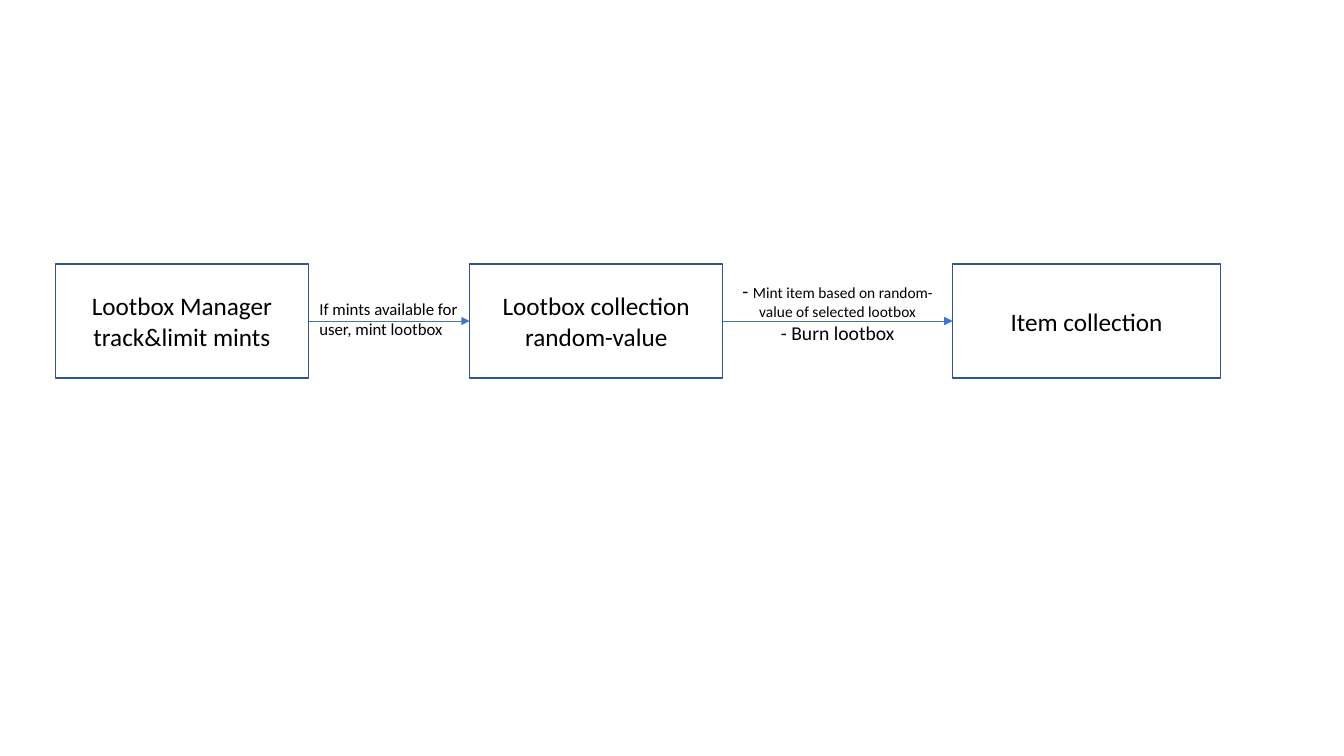
from pptx import Presentation
from pptx.dml.color import RGBColor
from pptx.enum.shapes import MSO_CONNECTOR, MSO_SHAPE
from pptx.enum.text import MSO_ANCHOR, MSO_AUTO_SIZE, PP_ALIGN
from pptx.oxml.ns import qn
from pptx.util import Pt
from lxml import etree

RECT, CURVE = MSO_SHAPE.RECTANGLE, MSO_CONNECTOR.CURVE
MIDDLE, TOP = MSO_ANCHOR.MIDDLE, MSO_ANCHOR.TOP
LEFT, CENTER = PP_ALIGN.LEFT, PP_ALIGN.CENTER
GROW = MSO_AUTO_SIZE.SHAPE_TO_FIT_TEXT
LEFT_SITE, RIGHT_SITE = 1, 3

COLORS = {"text": "000000", "border": "325491", "arrow": "4472C4"}
FONT = "Calibri"
BOX_TOP, BOX_HEIGHT = 188.6, 81.4


def color(name):
    return RGBColor.from_string(COLORS[name])


def set_attrs(target, values):
    for name, value in values.items():
        setattr(target, name, value)


def write(tf, paragraphs, align):
    """Each paragraph is a list of (text, size) runs."""
    for i, runs in enumerate(paragraphs):
        p = tf.paragraphs[0] if i == 0 else tf.add_paragraph()
        p.alignment = align
        for text, size in runs:
            r = p.add_run()
            r.text = text
            set_attrs(r.font, {"name": FONT, "size": Pt(size)})
            r.font.color.rgb = color("text")


def add_box(s, left, width, lines):
    sp = s.shapes.add_shape(RECT, Pt(left), Pt(BOX_TOP), Pt(width), Pt(BOX_HEIGHT))
    sp.shadow.inherit = False
    sp.fill.background()
    sp.line.color.rgb = color("border")
    sp.line.width = Pt(1)
    set_attrs(sp.text_frame, {"word_wrap": True, "vertical_anchor": MIDDLE})
    write(sp.text_frame, [[(line, 18)] for line in lines], CENTER)
    return sp


def add_arrow(s, source, target):
    sp = s.shapes.add_connector(CURVE, 0, 0, 0, 0)
    sp.begin_connect(source, RIGHT_SITE)
    sp.end_connect(target, LEFT_SITE)
    sp.line.color.rgb = color("arrow")
    sp.line.width = Pt(0.5)
    etree.SubElement(sp.line._get_or_add_ln(), qn("a:tailEnd"), type="triangle")
    etree.SubElement(sp._element.spPr, qn("a:effectLst"))


def add_label(s, left, top, width, height, paragraphs, align, wrap):
    sp = s.shapes.add_textbox(Pt(left), Pt(top), Pt(width), Pt(height))
    set_attrs(sp.text_frame, {"word_wrap": wrap, "auto_size": GROW,
                              "vertical_anchor": TOP})
    write(sp.text_frame, paragraphs, align)


def main():
    prs = Presentation()
    set_attrs(prs, {"slide_width": Pt(960), "slide_height": Pt(540)})
    s = prs.slides.add_slide(prs.slide_layouts[6])

    # Contracts
    manager = add_box(s, 39.6, 180.8, ["Lootbox Manager", "track&limit mints"])
    lootboxes = add_box(s, 335.5, 180.8, ["Lootbox collection", "random-value"])
    items = add_box(s, 680.4, 191.5, ["Item collection"])

    # Flow between them
    add_arrow(s, manager, lootboxes)
    add_arrow(s, lootboxes, items)

    # Flow labels
    add_label(s, 221, 209.5, 114.5, 36,
              [[("If mints available for", 12)], [("user, mint lootbox", 12)]],
              LEFT, False)
    add_label(s, 516.3, 195.8, 164.1, 54.7,
              [[("- ", 14),
                ("Mint item based on random-value of selected lootbox", 11)],
               [("- Burn lootbox", 14)]],
              CENTER, True)

    prs.save("out.pptx")


main()
